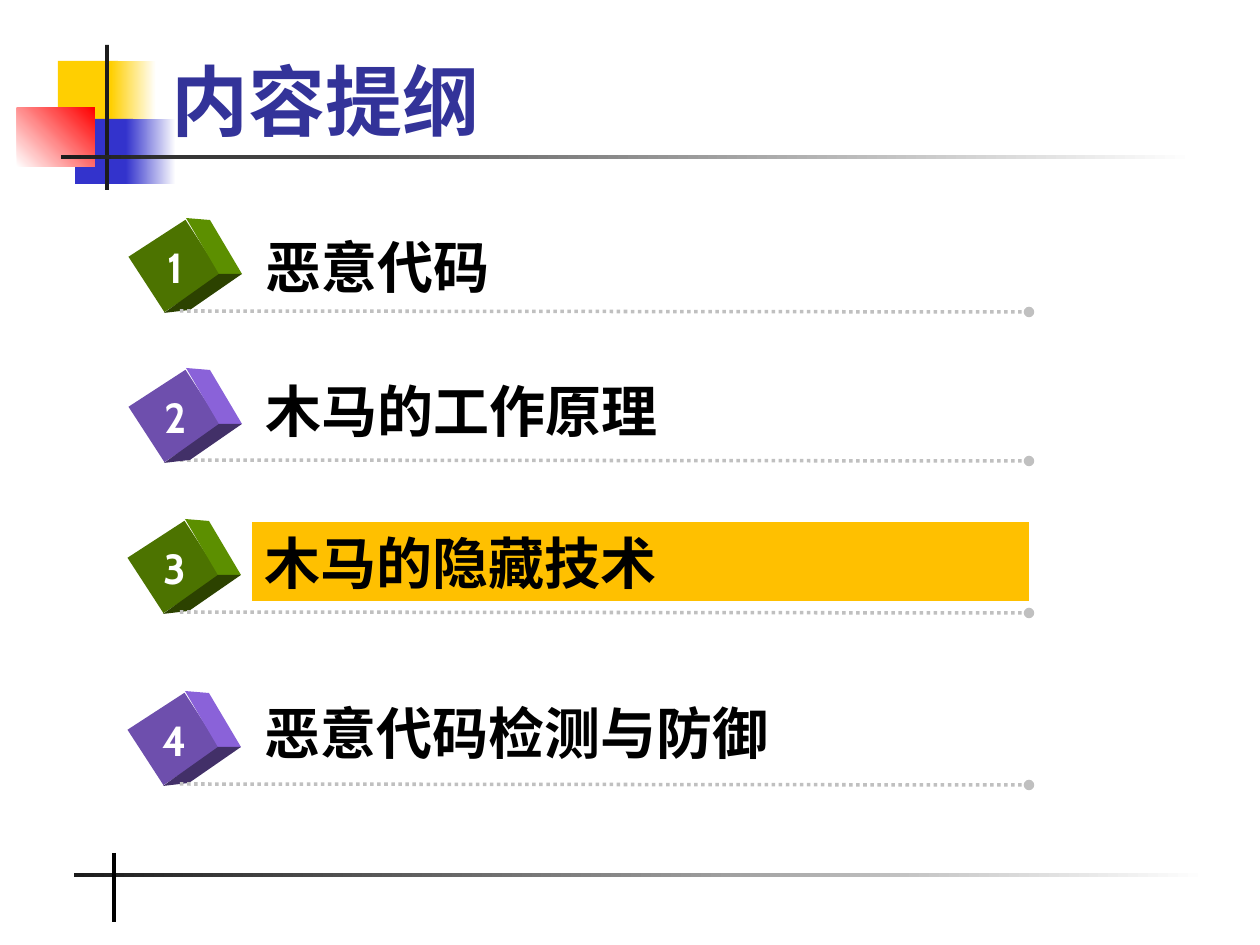
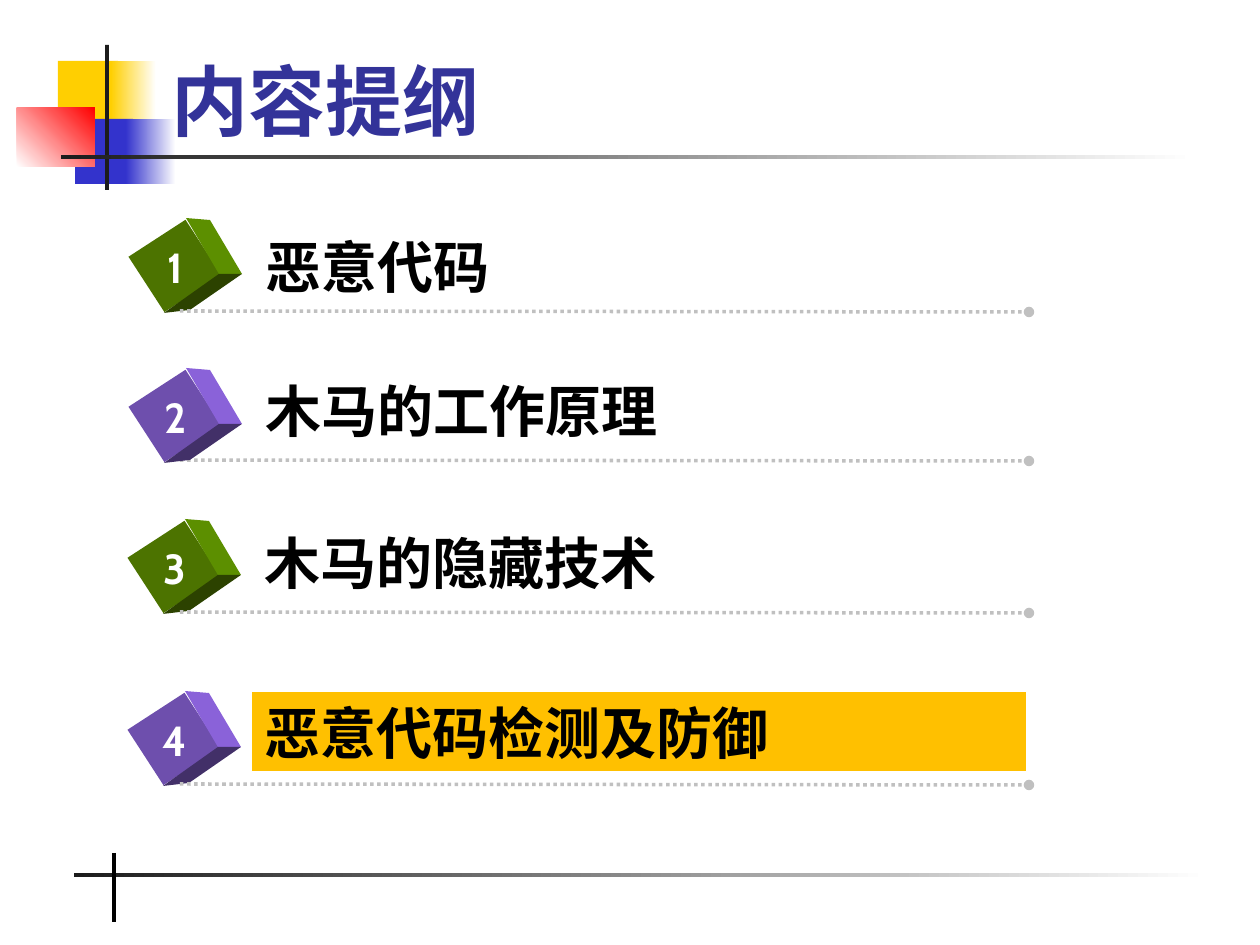
from dataclasses import dataclass

from pptx import Presentation
from pptx.dml.color import RGBColor
from pptx.enum.dml import MSO_LINE
from pptx.enum.shapes import MSO_CONNECTOR, MSO_SHAPE
from pptx.enum.text import MSO_ANCHOR, MSO_AUTO_SIZE, PP_ALIGN
from pptx.oxml.ns import qn
from pptx.util import Emu, Pt
from lxml.etree import SubElement

EMU_PER_PX = 914400 / 126


@dataclass(frozen=True)
class Theme:
    white: str = "FFFFFF"
    black: str = "000000"
    ink: str = "1C1C1C"
    yellow: str = "FFCF01"
    blue: str = "3333CC"
    red: str = "FF0000"
    title: str = "333399"
    rule: str = "C0C0C0"
    highlight: str = "FFC000"
    green_cube: tuple = ("4C7300", "5C8F00", "2C4200")  # front, right, bottom
    purple_cube: tuple = ("6E4FAD", "8A62D9", "423068")
    title_font: str = "Times New Roman"
    body_font: str = "Cabin"
    title_size: int = 44
    topic_size: int = 32
    number_size: int = 24


@dataclass(frozen=True)
class Row:
    """Places of one topic line, in px."""
    cube_x: int
    cube_y: int
    label_x: int
    label_y: int
    label_w: int
    rule_y: int
    rule_behind_cube: bool = False


THEME = Theme()
LABEL_H = 79
ROWS = [
    Row(175, 266, 253, 226, 789, 311),
    Row(175, 416, 253, 370, 757, 460, rule_behind_cube=True),
    Row(174, 567, 252, 522, 777, 612),
    Row(174, 739, 252, 692, 774, 784),
]
TOPICS = ["恶意代码", "木马的工作原理", "木马的隐藏技术"]
OUTLINES = [
    (TOPICS + ["恶意代码检测与防御"], 3),
    (TOPICS + ["恶意代码检测及防御"], 4),
]
# Corners of the cube's visible sides, measured from the centre of its front
CUBE_RIGHT = [(11, -48), (35, -46), (67, 8), (44, 8)]
CUBE_BOTTOM = [(44, 8), (67, 8), (15, 44), (-11, 47)]


def px(*lengths):
    return [Emu(round(n * EMU_PER_PX)) for n in lengths]


def rgb(color):
    return RGBColor.from_string(color)


def set_all(target, values):
    for name, value in values.items():
        setattr(target, name, value)


def paint(sp, color, fade_to=None, angle=0):
    """Fill without outline or shadow; fade_to makes a two-colour gradient."""
    sp.shadow.inherit = False
    sp.line.fill.background()
    if fade_to is None:
        sp.fill.solid()
        sp.fill.fore_color.rgb = rgb(color)
        return
    sp.fill.gradient()
    sp.fill.gradient_angle = angle
    for stop, stop_color in zip(sp.fill.gradient_stops, (color, fade_to)):
        stop.color.rgb = rgb(stop_color)


def add_block(s, box, color, fade_to=None, angle=0):
    sp = s.shapes.add_shape(MSO_SHAPE.RECTANGLE, *px(*box))
    paint(sp, color, fade_to, angle)
    return sp


def add_line(s, ends, color, width):
    line = s.shapes.add_connector(MSO_CONNECTOR.STRAIGHT, *px(*ends))
    line.line.color.rgb = rgb(color)
    line.line.width = Pt(width)
    SubElement(line.element.spPr, qn("a:effectLst"))
    return line


def write(tf, text, size, color, font, align=PP_ALIGN.LEFT):
    p = tf.paragraphs[0]
    p.alignment = align
    r = p.add_run()
    r.text = text
    set_all(r.font, {"name": font, "size": Pt(size), "bold": True})
    r.font.color.rgb = rgb(color)


def add_text(s, box, text, size, color, wrap=True, align=PP_ALIGN.LEFT):
    sp = s.shapes.add_textbox(*px(*box))
    set_all(sp.text_frame, {"word_wrap": wrap,
                            "auto_size": MSO_AUTO_SIZE.SHAPE_TO_FIT_TEXT})
    write(sp.text_frame, text, size, color, THEME.body_font, align)
    return sp


def add_face(s, x, y, corners, color):
    points = [(x + dx, y + dy) for dx, dy in corners]
    builder = s.shapes.build_freeform(*points[0], scale=EMU_PER_PX)
    builder.add_line_segments(points[1:], close=True)
    paint(builder.convert_to_shape(), color)


def add_cube(s, x, y, number, colors):
    front, right, bottom = colors
    add_block(s, (x - 33, y - 34, 66, 68), front).rotation = 57
    add_face(s, x, y, CUBE_RIGHT, right)
    add_face(s, x, y, CUBE_BOTTOM, bottom)
    add_text(s, (x - 24, y - 31, 49, 63), str(number), THEME.number_size,
             THEME.white, wrap=False, align=PP_ALIGN.CENTER)


def add_rule(s, y):
    """Dotted line that ends in a dot on the right."""
    rule = add_line(s, (180, y, 1029, y + 1), THEME.rule, 2)
    rule.line.dash_style = MSO_LINE.ROUND_DOT
    SubElement(rule.line._get_or_add_ln(), qn("a:tailEnd"), type="oval")


def add_topic(s, row, number, text, highlighted):
    colors = THEME.green_cube if number % 2 else THEME.purple_cube
    if row.rule_behind_cube:
        add_rule(s, row.rule_y)
    add_cube(s, row.cube_x, row.cube_y, number, colors)
    if not row.rule_behind_cube:
        add_rule(s, row.rule_y)
    label = add_text(s, (row.label_x, row.label_y, row.label_w, LABEL_H), text,
                     THEME.topic_size, THEME.black)
    if highlighted:
        paint(label, THEME.highlight)


def add_title(s, text):
    title = s.shapes.title
    left, top, width, height = px(159, 20, 1074, 132)
    set_all(title, {"left": left, "top": top, "width": width, "height": height})
    set_all(title.text_frame, {"vertical_anchor": MSO_ANCHOR.BOTTOM,
                               "word_wrap": True,
                               "auto_size": MSO_AUTO_SIZE.NONE})
    write(title.text_frame, text, THEME.title_size, THEME.title, THEME.title_font)


def decorate_layout(layout, s):
    """Draw the corner blocks and bands on s, then move them to its layout."""
    own = list(s.shapes)
    t = THEME
    add_block(s, (58, 61, 60, 65), t.yellow)
    add_block(s, (111, 61, 45, 65), t.yellow, t.white)
    add_block(s, (75, 119, 58, 65), t.blue)
    add_block(s, (126, 119, 50, 65), t.blue, t.white)
    add_block(s, (17, 108, 78, 59), t.white, t.red, 45)
    add_block(s, (105, 45, 4, 145), t.ink)
    for left, top in ((61, 155), (74, 873)):
        add_block(s, (left, top, 1134, 4), t.ink, t.white)
    add_line(s, (114, 853, 114, 922), t.black, 2.25)
    tree = layout.shapes.element
    for index, sp in enumerate(list(s.shapes)[len(own):], start=2):
        tree.insert(index, sp.element)


def main():
    prs = Presentation()
    prs.slide_width, prs.slide_height = px(1260, 945)
    layout = prs.slide_layouts[5]
    for index, (topics, current) in enumerate(OUTLINES):
        s = prs.slides.add_slide(layout)
        if index == 0:
            decorate_layout(layout, s)
        add_title(s, "内容提纲")
        for number, (row, topic) in enumerate(zip(ROWS, topics), start=1):
            add_topic(s, row, number, topic, number == current)
    prs.save("out.pptx")


if __name__ == "__main__":
    main()
